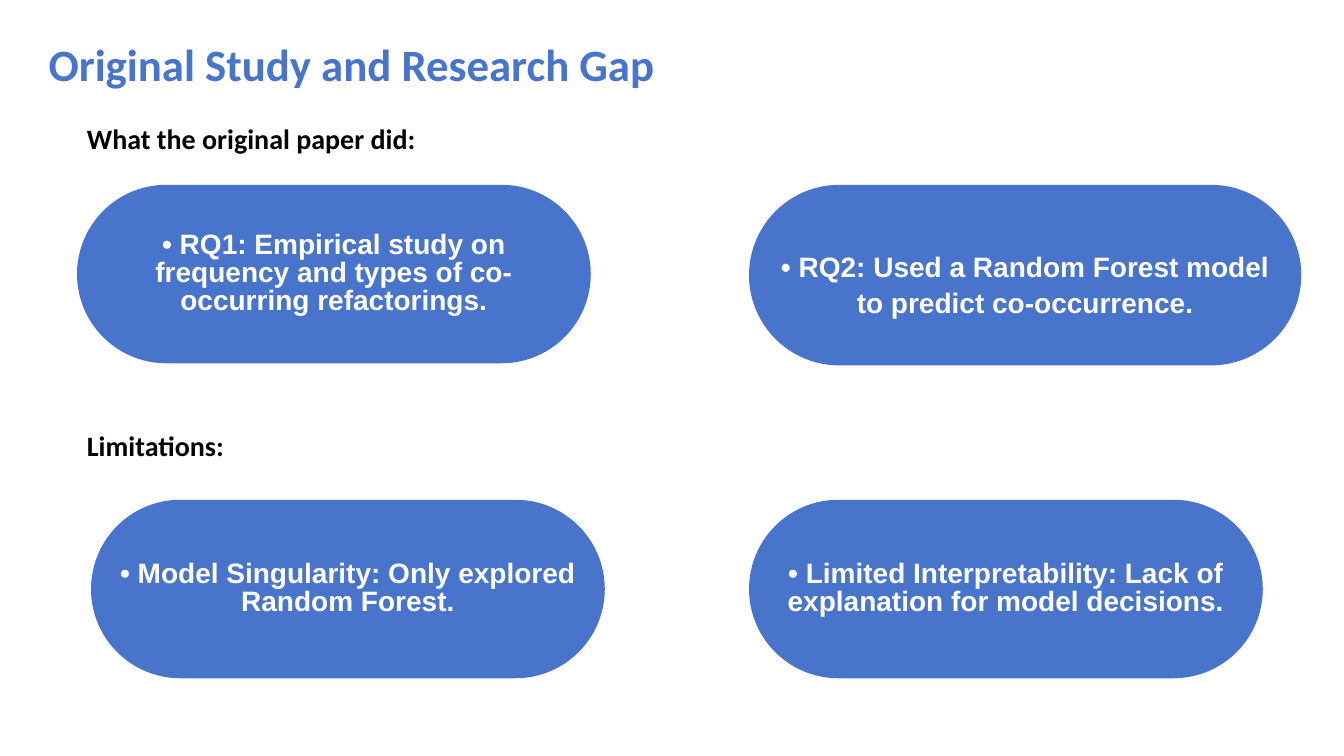
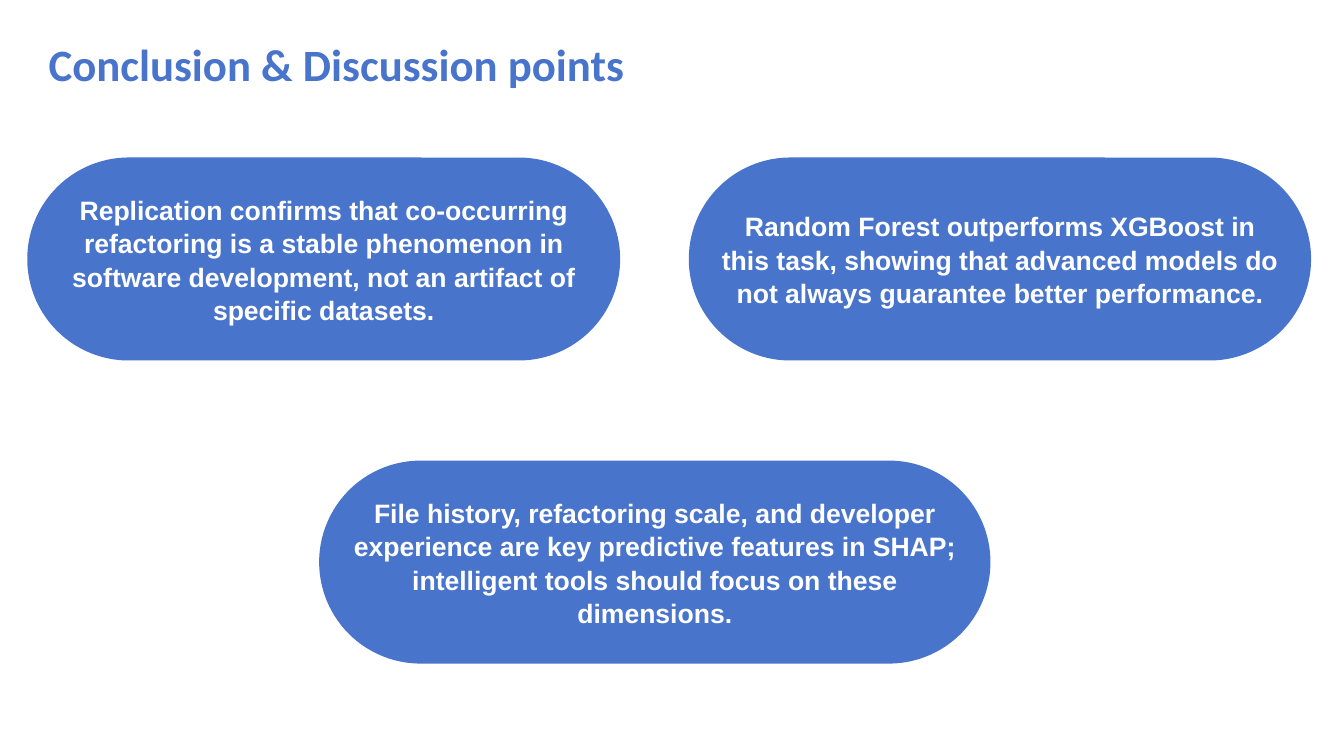
import dataclasses

import pptx
import pptx.dml.color
import pptx.enum.shapes
import pptx.enum.text
import pptx.presentation
import pptx.slide
import pptx.text.text
import pptx.util

Pt = pptx.util.Pt
RGBColor = pptx.dml.color.RGBColor
Align = pptx.enum.text.PP_ALIGN
Anchor = pptx.enum.text.MSO_ANCHOR

BLUE = RGBColor(0x48, 0x74, 0xCB)
WHITE = RGBColor(0xFF, 0xFF, 0xFF)
BLACK = RGBColor(0x00, 0x00, 0x00)

HEADING_FONT = "Calibri"
PILL_FONT = "Arial"
TITLE_ONLY_LAYOUT = 5
TIGHT = 0.84
NORMAL = 1.05


@dataclasses.dataclass(frozen=True)
class Heading:
    text: str
    top: float


@dataclasses.dataclass(frozen=True)
class Pill:
    text: str
    left: float
    top: float
    width: float
    height: float
    font_size: float
    line_spacing: float = NORMAL
    top_margin: float = 0


@dataclasses.dataclass(frozen=True)
class SlideContent:
    title: str
    pills: list[Pill]
    headings: list[Heading] = dataclasses.field(default_factory=list)


STUDY_TOP, LIMITS_TOP = 132, 357
STUDY_RIGHT = 535
STUDY_SIZE = (367, 127.5)
CONCLUSION_TOP, CONCLUSION_HEIGHT = 112.5, 145

SLIDES = [
    SlideContent(
        "Original Study and Research Gap",
        [
            Pill("• RQ1: Empirical study on frequency and types of co-occurring refactorings.",
                 55, STUDY_TOP, *STUDY_SIZE, 20, TIGHT),
            Pill("• RQ2: Used a Random Forest model to predict co-occurrence.",
                 STUDY_RIGHT, STUDY_TOP, 394.5, 129, 20, top_margin=12),
            Pill("• Model Singularity: Only explored Random Forest.",
                 65, LIMITS_TOP, *STUDY_SIZE, 20, TIGHT),
            Pill("• Limited Interpretability: Lack of explanation for model decisions.",
                 STUDY_RIGHT, LIMITS_TOP, *STUDY_SIZE, 20, TIGHT),
        ],
        [Heading("What the original paper did:", 83), Heading("Limitations:", 302.5)],
    ),
    SlideContent(
        "Conclusion & Discussion points",
        [
            Pill("Replication confirms that co-occurring refactoring is a stable phenomenon in "
                 "software development, not an artifact of specific datasets.",
                 19.5, CONCLUSION_TOP, 423.5, CONCLUSION_HEIGHT, 19),
            Pill("Random Forest outperforms XGBoost in this task, showing that advanced models "
                 "do not always guarantee better performance.",
                 492, CONCLUSION_TOP, 444.5, CONCLUSION_HEIGHT, 19),
            Pill("File history, refactoring scale, and developer experience are key predictive "
                 "features in SHAP; intelligent tools should focus on these dimensions.",
                 228, 329, 479.5, CONCLUSION_HEIGHT, 19),
        ],
    ),
]


def write_bold(frame: pptx.text.text.TextFrame, text: str, font_name: str, size: float,
               color: RGBColor, alignment: Align = Align.LEFT) -> None:
    frame.word_wrap = True
    frame.auto_size = pptx.enum.text.MSO_AUTO_SIZE.NONE
    paragraph = frame.paragraphs[0]
    paragraph.text = text
    paragraph.alignment = alignment
    paragraph.font.name = font_name
    paragraph.font.size = Pt(size)
    paragraph.font.bold = True
    paragraph.font.color.rgb = color


def set_title(slide: pptx.slide.Slide, text: str) -> None:
    title = slide.shapes.title
    title.left, title.top, title.width, title.height = Pt(27.5), Pt(19), Pt(837), Pt(46)
    frame = title.text_frame
    frame.vertical_anchor = Anchor.BOTTOM
    frame.margin_top = frame.margin_bottom = 0
    write_bold(frame, text, HEADING_FONT, 32, BLUE)


def add_heading(slide: pptx.slide.Slide, heading: Heading) -> None:
    box = slide.shapes.add_textbox(Pt(55), Pt(heading.top), Pt(480), Pt(32))
    write_bold(box.text_frame, heading.text, HEADING_FONT, 20, BLACK)


def add_pill(slide: pptx.slide.Slide, pill: Pill) -> None:
    shape = slide.shapes.add_shape(
        pptx.enum.shapes.MSO_SHAPE.ROUNDED_RECTANGLE,
        Pt(pill.left), Pt(pill.top), Pt(pill.width), Pt(pill.height))
    shape.adjustments[0] = 0.5
    shape.shadow.inherit = False
    shape.fill.solid()
    shape.fill.fore_color.rgb = BLUE
    shape.line.fill.background()
    frame = shape.text_frame
    frame.vertical_anchor = Anchor.MIDDLE
    frame.margin_left = frame.margin_right = frame.margin_bottom = 0
    frame.margin_top = Pt(pill.top_margin)
    write_bold(frame, pill.text, PILL_FONT, pill.font_size, WHITE, Align.CENTER)
    frame.paragraphs[0].line_spacing = pill.line_spacing


def add_slide(presentation: pptx.presentation.Presentation, content: SlideContent) -> None:
    slide = presentation.slides.add_slide(presentation.slide_layouts[TITLE_ONLY_LAYOUT])
    set_title(slide, content.title)
    for heading in content.headings:
        add_heading(slide, heading)
    for pill in content.pills:
        add_pill(slide, pill)


def main() -> None:
    presentation = pptx.Presentation()
    presentation.slide_width = Pt(960)
    presentation.slide_height = Pt(540)
    for content in SLIDES:
        add_slide(presentation, content)
    presentation.save("out.pptx")


if __name__ == "__main__":
    main()
